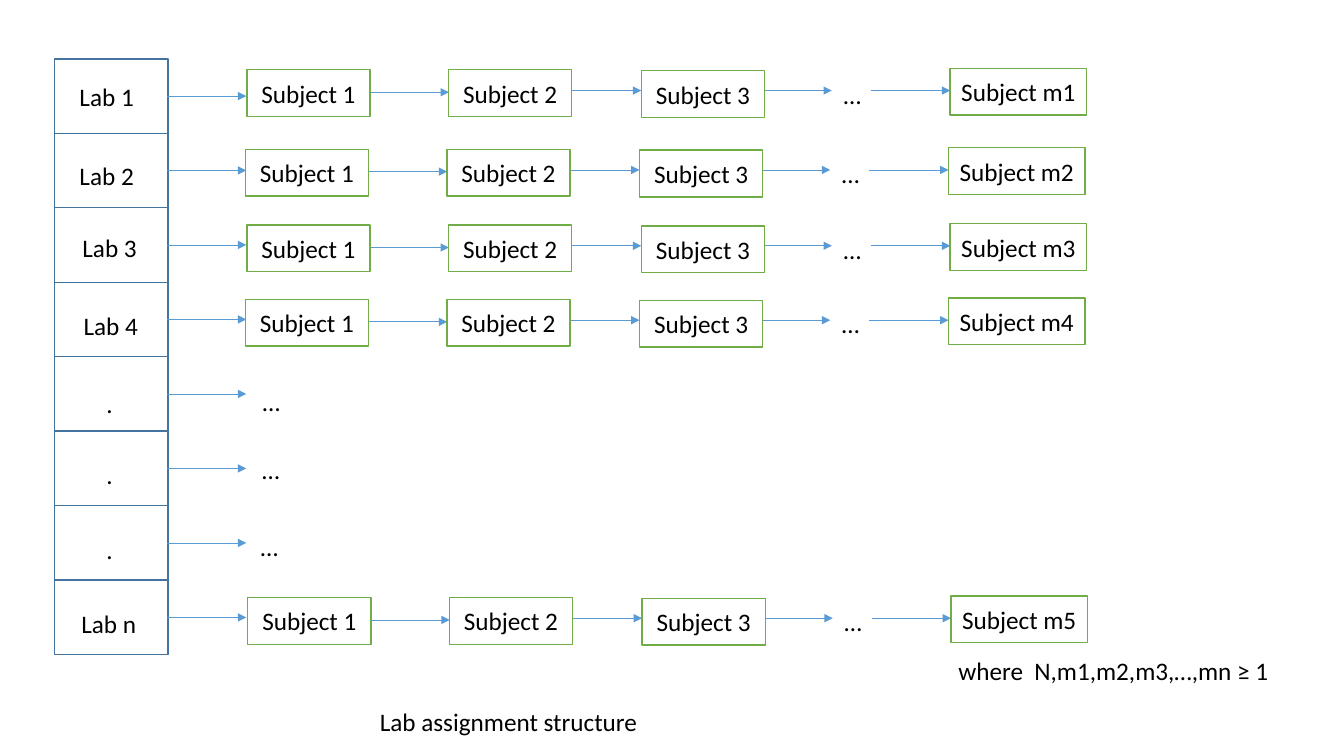
import pptx
import pptx.dml.color
import pptx.enum.shapes
import pptx.enum.text
import pptx.oxml
import pptx.util
from lxml import etree

Pt = pptx.util.Pt
RGBColor = pptx.dml.color.RGBColor
MSO_SHAPE = pptx.enum.shapes.MSO_SHAPE
PP_ALIGN = pptx.enum.text.PP_ALIGN

BLACK = RGBColor(0x00, 0x00, 0x00)
WHITE = RGBColor(0xFF, 0xFF, 0xFF)
LAB_BLUE = RGBColor(0x43, 0x73, 0x9E)
ARROW_BLUE = RGBColor(0x5B, 0x9B, 0xD5)
SUBJECT_GREEN = RGBColor(0x70, 0xAD, 0x47)

LAB_LEFT, LAB_TOP, LAB_WIDTH, LAB_HEIGHT = 39, 42, 81, 53.2
TEXT_HEIGHT = 29
ARROW_LENGTH = 56.6
SUBJECT_WIDTH, SUBJECT_HEIGHT = 88, 33.4
LAST_SUBJECT_WIDTH = 97.5

# Lab label, its left and top within the cell, its width
LABS = [
    ("Lab 1", 10.7, 12.7, 54),
    ("Lab 2", 10.7, 15.7, 54),
    ("Lab 3", 12.8, 14.3, 54),
    ("Lab 4", 13.6, 16.6, 54),
    (".", 30, 18.8, 19.5),
    (".", 30, 16.7, 19.5),
    (".", 30, 16.8, 19.5),
    ("Lab n", 12, 16.9, 54),
]
# Left and top of each chain, and its last subject
CHAINS = [
    (176.4, 49.9, "Subject m1"),
    (175.2, 106.6, "Subject m2"),
    (176.4, 160.8, "Subject m3"),
    (175.2, 213.9, "Subject m4"),
    (177, 426.8, "Subject m5"),
]
OMITTED_CHAINS = [(176.4, 272.2), (176.1, 321.1), (175, 375.8)]
# Left and top within a chain
CHAIN_ARROWS = [(87.6, 16), (225, 14.8), (361.2, 14.8), (445.7, 14.8)]


def set_text(frame, text):
    frame.text = text
    font = frame.paragraphs[0].font
    font.name = "Calibri"
    font.size = Pt(18)
    font.color.rgb = BLACK


def add_text(slide, text, left, top, width, wrap=False):
    box = slide.shapes.add_textbox(Pt(left), Pt(top), Pt(width), Pt(TEXT_HEIGHT))
    box.text_frame.word_wrap = wrap
    set_text(box.text_frame, text)


def add_box(slide, left, top, width, height, line_color):
    box = slide.shapes.add_shape(
        MSO_SHAPE.RECTANGLE, Pt(left), Pt(top), Pt(width), Pt(height))
    box.shadow.inherit = False
    box.line.color.rgb = line_color
    box.line.width = Pt(1)
    return box


def add_arrow(slide, left, top):
    """Add a horizontal arrow of the common length, pointing right."""
    arrow = slide.shapes.add_connector(
        pptx.enum.shapes.MSO_CONNECTOR.STRAIGHT,
        Pt(left), Pt(top), Pt(left + ARROW_LENGTH), Pt(top))
    arrow.line.color.rgb = ARROW_BLUE
    arrow.line.width = Pt(0.5)
    head = etree.SubElement(
        arrow.line._get_or_add_ln(), pptx.oxml.ns.qn("a:tailEnd"))
    head.set("type", "triangle")
    etree.SubElement(arrow._element.spPr, pptx.oxml.ns.qn("a:effectLst"))


def add_subject(slide, text, left, top, width):
    box = add_box(slide, left, top, width, SUBJECT_HEIGHT, SUBJECT_GREEN)
    box.fill.solid()
    box.fill.fore_color.rgb = WHITE
    frame = box.text_frame
    frame.vertical_anchor = pptx.enum.text.MSO_ANCHOR.MIDDLE
    set_text(frame, text)
    frame.paragraphs[0].alignment = PP_ALIGN.CENTER


def add_lab_column(slide, left, top, width, cell_height):
    for index, (label, label_left, label_top, label_width) in enumerate(LABS):
        cell_top = top + index * cell_height
        add_box(slide, left, cell_top, width, cell_height,
                LAB_BLUE).fill.background()
        add_arrow(slide, left + width - 0.7, cell_top + cell_height / 2)
        add_text(slide, label, left + label_left, cell_top + label_top,
                 label_width)


def add_chain(slide, left, top, last_subject):
    for arrow_left, arrow_top in CHAIN_ARROWS:
        add_arrow(slide, left + arrow_left, top + arrow_top)
    subjects = [
        ("Subject 1", 0, 0, SUBJECT_WIDTH),
        ("Subject 2", 144, 0, SUBJECT_WIDTH),
        ("Subject 3", 281.7, 0.7, SUBJECT_WIDTH),
        (last_subject, 502.3, -1, LAST_SUBJECT_WIDTH),
    ]
    for text, offset_left, offset_top, width in subjects:
        add_subject(slide, text, left + offset_left, top + offset_top, width)
    add_ellipsis(slide, left + 415, top + 2.9)


def add_ellipsis(slide, left, top):
    add_text(slide, " …", left, top, 39.6)


def main():
    presentation = pptx.Presentation()
    presentation.slide_width = Pt(960)
    presentation.slide_height = Pt(540)
    slide = presentation.slides.add_slide(presentation.slide_layouts[6])

    add_lab_column(slide, LAB_LEFT, LAB_TOP, LAB_WIDTH, LAB_HEIGHT)
    for left, top, last_subject in CHAINS:
        add_chain(slide, left, top, last_subject)
    for left, top in OMITTED_CHAINS:
        add_ellipsis(slide, left, top)
    add_text(slide, "where  N,m1,m2,m3,…,mn ≥ 1", 677.5, 464.4, 276.5, wrap=True)
    add_text(slide, "Lab assignment structure", 264.2, 501.1, 200.2)

    presentation.save("out.pptx")


if __name__ == "__main__":
    main()
